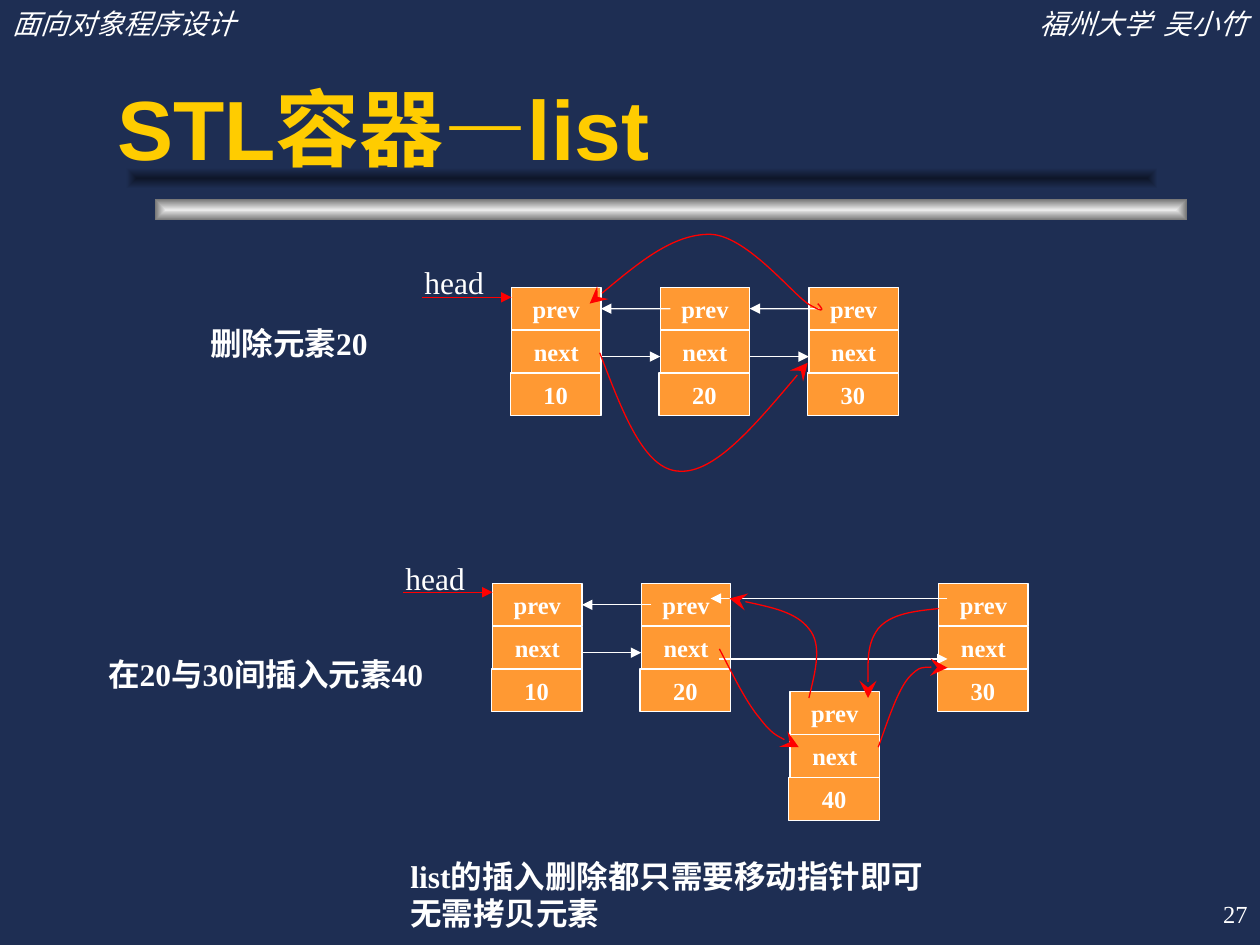
from pptx import Presentation
from pptx.dml.color import RGBColor
from pptx.enum.shapes import MSO_CONNECTOR, MSO_SHAPE
from pptx.enum.text import MSO_ANCHOR, PP_ALIGN
from pptx.oxml import parse_xml
from pptx.oxml.ns import nsdecls, qn
from pptx.util import Inches, Pt

NAVY = RGBColor(0x1E, 0x2E, 0x53)
DARK_NAVY = RGBColor(0x0E, 0x16, 0x29)
LIGHT_GRAY = RGBColor(0xEA, 0xEA, 0xEA)
GRAY = RGBColor(0x74, 0x74, 0x74)
GOLD = RGBColor(0xFF, 0xCC, 0x00)
ORANGE = RGBColor(0xFF, 0x99, 0x33)
WHITE = RGBColor(0xFF, 0xFF, 0xFF)
RED = RGBColor(0xFF, 0x00, 0x00)

CELL_WIDTH, CELL_HEIGHT = 0.71, 0.34
NODE_STEP = 1.18

deck = Presentation()
deck.slide_width, deck.slide_height = Inches(10), Inches(7.5)
page = deck.slides.add_slide(deck.slide_layouts[5])
page.background.fill.solid()
page.background.fill.fore_color.rgb = NAVY


def write_text(shape, lines, size, bold=False, italic=False,
               align=PP_ALIGN.LEFT, color=WHITE, font="Times New Roman"):
    frame = shape.text_frame
    frame.text = "\n".join(lines)
    for para in frame.paragraphs:
        para.alignment = align
        para.font.name = font
        para.font.size = Pt(size)
        para.font.bold = bold
        para.font.italic = italic
        para.font.color.rgb = color
    return frame


def style_arrow(shape, color, head, head_size):
    shape.line.color.rgb = color
    shape.line.width = Pt(0.75)
    properties = shape.element.spPr
    properties.find(qn("a:ln")).append(parse_xml(
        f'<a:tailEnd {nsdecls("a")} type="{head}" w="{head_size}" len="{head_size}"/>'))
    if properties.find(qn("a:effectLst")) is None:
        properties.append(parse_xml(f'<a:effectLst {nsdecls("a")}/>'))


# Double rule under the title
for left, top, inner, outer in [(1.23, 1.58, LIGHT_GRAY, GRAY),
                                (1, 1.33, DARK_NAVY, NAVY)]:
    rule = page.shapes.add_shape(MSO_SHAPE.RECTANGLE, Inches(left), Inches(top),
                                 Inches(8.19), Inches(0.17))
    rule.shadow.inherit = False
    rule.line.fill.background()
    rule.fill.gradient()
    for stop, color in zip(rule.fill.gradient_stops, (inner, outer)):
        stop.color.rgb = color
    gradient = rule.element.spPr.find(qn("a:gradFill"))
    gradient.replace(gradient.find(qn("a:lin")), parse_xml(
        f'<a:path {nsdecls("a")} path="rect">'
        '<a:fillToRect l="50000" t="50000" r="50000" b="50000"/></a:path>'))

# Title
title = page.shapes.title
title.left, title.top = Inches(0.83), Inches(0.77)
title.width, title.height = Inches(8.5), Inches(0.48)
frame = write_text(title, ["STL容器—list"], 48, bold=True, color=GOLD, font="Arial")
frame.vertical_anchor = MSO_ANCHOR.MIDDLE

# Header and page number
for left, top, width, height, words, size, italic, align in [
    (0, 0, 3.08, 0.37, "面向对象程序设计", 16, True, PP_ALIGN.LEFT),
    (6.92, 0, 3.08, 0.37, "福州大学  吴小竹", 16, True, PP_ALIGN.RIGHT),
    (7.92, 7, 2.08, 0.5, "27", 14, False, PP_ALIGN.RIGHT),
]:
    box = page.shapes.add_textbox(Inches(left), Inches(top), Inches(width), Inches(height))
    frame = write_text(box, [words], size, italic=italic, align=align)
    frame.word_wrap = True
    frame.vertical_anchor = MSO_ANCHOR.MIDDLE

# Captions and head labels
for left, top, width, height, lines, bold in [
    (3.27, 2.04, 0.67, 0.4, ["head"], False),
    (3.12, 4.39, 0.67, 0.4, ["head"], False),
    (1.57, 2.52, 1.51, 0.4, ["删除元素20"], True),
    (0.76, 5.15, 3, 0.4, ["在20与30间插入元素40"], True),
    (3.16, 6.75, 4.33, 0.7, ["list的插入删除都只需要移动指针即可", "无需拷贝元素"], True),
]:
    box = page.shapes.add_textbox(Inches(left), Inches(top), Inches(width), Inches(height))
    write_text(box, lines, 18, bold=bold).word_wrap = False

# List nodes: prev, next and value cells
DELETE_X, DELETE_Y = 4.06, 2.28
INSERT_X, INSERT_Y = 3.91, 4.63
prev_cells = {}
for list_name, value, left, top in [
    ("delete", 10, DELETE_X, DELETE_Y),
    ("delete", 20, DELETE_X + NODE_STEP, DELETE_Y),
    ("delete", 30, DELETE_X + 2 * NODE_STEP, DELETE_Y),
    ("insert", 10, INSERT_X, INSERT_Y),
    ("insert", 20, INSERT_X + NODE_STEP, INSERT_Y),
    ("insert", 30, INSERT_X + 3 * NODE_STEP, INSERT_Y),
    ("insert", 40, INSERT_X + 2 * NODE_STEP, 5.49),
]:
    for row, words in enumerate(["prev", "next", str(value)]):
        overhang = 0.01 if row == 2 else 0
        cell = page.shapes.add_shape(
            MSO_SHAPE.RECTANGLE, Inches(left - overhang), Inches(top + row * CELL_HEIGHT),
            Inches(CELL_WIDTH + overhang), Inches(CELL_HEIGHT))
        cell.shadow.inherit = False
        cell.fill.solid()
        cell.fill.fore_color.rgb = ORANGE
        cell.line.color.rgb = WHITE
        cell.line.width = Pt(0.75)
        frame = write_text(cell, [words], 14, bold=True, align=PP_ALIGN.CENTER)
        frame.vertical_anchor = MSO_ANCHOR.MIDDLE
        if row == 0:
            prev_cells[list_name, value] = cell

# Straight pointers; those that reach the middle of a prev cell are joined to it
for x1, y1, x2, y2, color, target in [
    (5.32, 2.45, 4.77, 2.45, WHITE, ("delete", 10)),
    (6.5, 2.45, 5.95, 2.45, WHITE, ("delete", 20)),
    (4.77, 2.83, 5.24, 2.83, WHITE, None),
    (5.95, 2.83, 6.42, 2.83, WHITE, None),
    (3.35, 2.36, 4.06, 2.36, RED, None),
    (5.17, 4.8, 4.62, 4.8, WHITE, ("insert", 10)),
    (4.62, 5.18, 5.09, 5.18, WHITE, None),
    (7.52, 4.75, 5.64, 4.75, WHITE, None),
    (5.71, 5.23, 7.52, 5.23, WHITE, None),
    (3.2, 4.7, 3.91, 4.7, RED, None),
]:
    pointer = page.shapes.add_connector(MSO_CONNECTOR.STRAIGHT, Inches(x1), Inches(y1),
                                        Inches(x2), Inches(y2))
    if target:
        pointer.end_connect(prev_cells[target], 3)
    style_arrow(pointer, color, "triangle", "med")

# Curved pointers: a start point, then two controls and an end per Bézier segment
for knots in [
    [(4.76, 2.8), (4.94, 3.27), (5.11, 3.73), (5.39, 3.74),
     (5.67, 3.76), (6.04, 3.32), (6.41, 2.88)],
    [(6.49, 2.41), (6.53, 2.45), (6.56, 2.5), (6.41, 2.41), (6.27, 2.31),
     (5.91, 1.86), (5.63, 1.86), (5.34, 1.86), (5.01, 2.13), (4.68, 2.41)],
    [(7.45, 4.83), (7.26, 4.85), (7.07, 4.87), (6.97, 4.99),
     (6.88, 5.11), (6.89, 5.32), (6.89, 5.54)],
    [(6.42, 5.54), (6.47, 5.33), (6.53, 5.12), (6.42, 4.99),
     (6.32, 4.86), (6.05, 4.8), (5.79, 4.75)],
    [(5.71, 5.15), (5.82, 5.36), (5.92, 5.57), (6.03, 5.7),
     (6.13, 5.83), (6.24, 5.88), (6.34, 5.93)],
    [(6.97, 5.93), (7.05, 5.71), (7.12, 5.49), (7.21, 5.38),
     (7.3, 5.28), (7.41, 5.29), (7.52, 5.3)],
]:
    start, *others = [(Inches(x), Inches(y)) for x, y in knots]
    builder = page.shapes.build_freeform(*start)
    builder.add_line_segments(others, close=False)
    curve = builder.convert_to_shape()
    # Turn every three line segments into one cubic segment
    segments = list(curve.element.iter(qn("a:lnTo")))
    for first in range(0, len(segments), 3):
        cubic = parse_xml(f'<a:cubicBezTo {nsdecls("a")}/>')
        segments[first].addprevious(cubic)
        for segment in segments[first:first + 3]:
            cubic.append(segment.find(qn("a:pt")))
            segment.getparent().remove(segment)
    curve.shadow.inherit = False
    curve.fill.background()
    style_arrow(curve, RED, "stealth", "lg")

deck.save("out.pptx")
